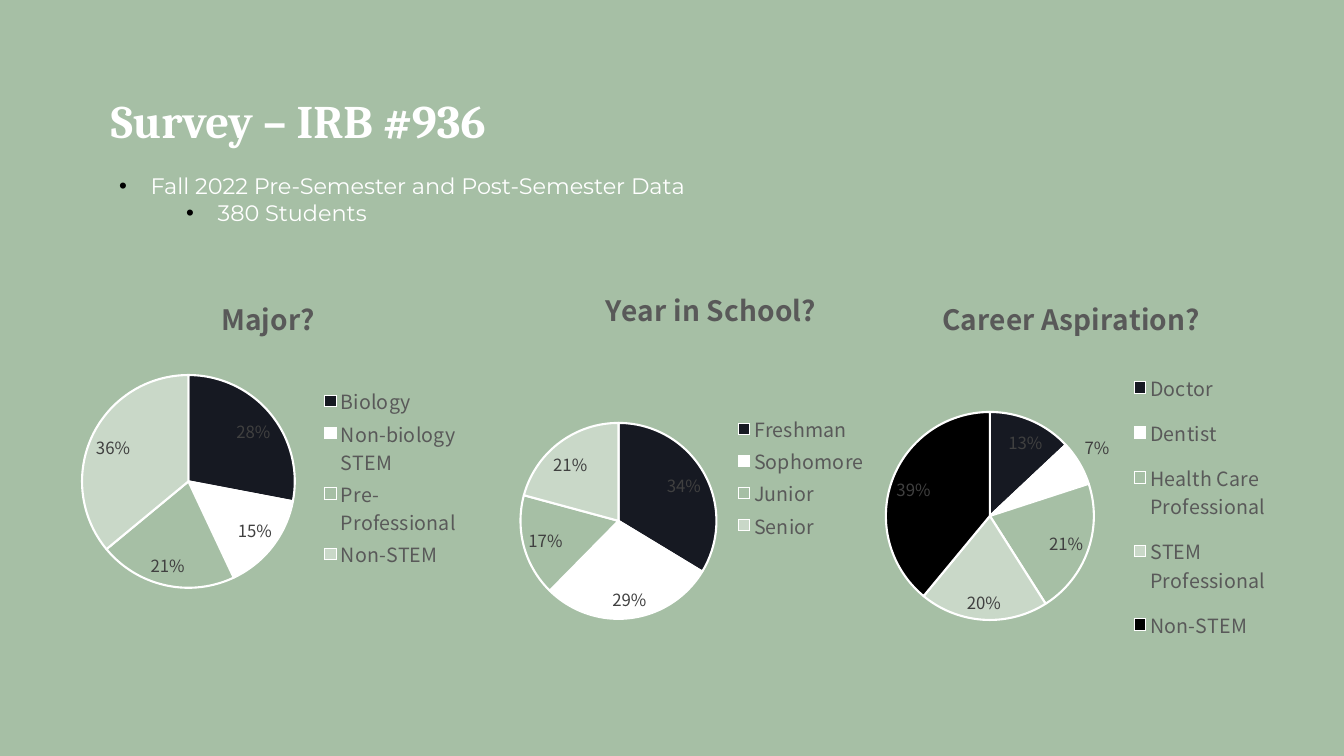
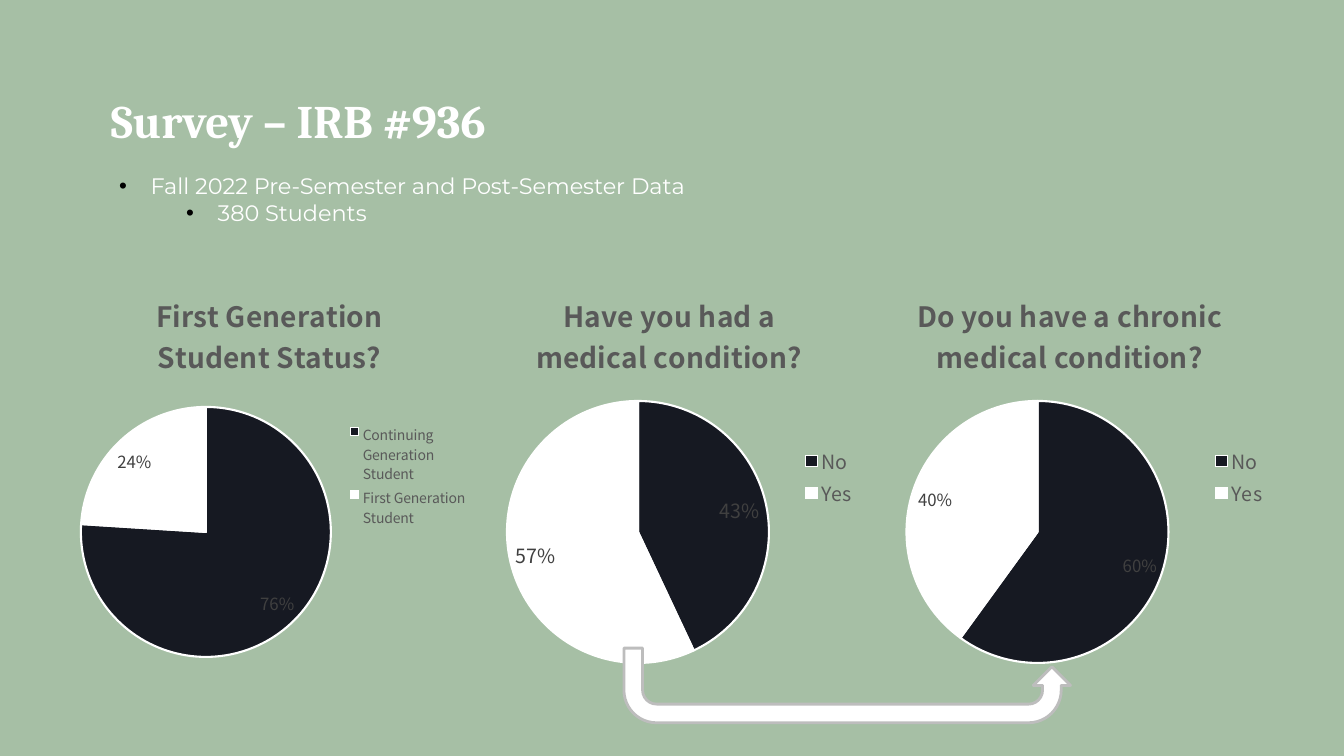
from dataclasses import dataclass

from lxml import etree
from pptx import Presentation
from pptx.chart.data import CategoryChartData
from pptx.dml.color import RGBColor
from pptx.enum import chart as ce, shapes, text
from pptx.oxml import ns
from pptx.util import Pt


@dataclass(frozen=True)
class Theme:
    sage: str = "A6BFA5"
    white: str = "FFFFFF"
    black: str = "000000"
    heading: str = "595959"
    label: str = "404040"
    arrow_line: str = "BDBDBD"
    slices: tuple = ("161922", "FFFFFF", "A6BFA5", "C9D8C8", "000000")
    title_font: str = "Cambria"
    body_font: str = "Montserrat"
    chart_font: str = "Noto Sans CJK SC"
    title_size: float = 33.3
    body_size: float = 16
    chart_title_size: float = 20
    legend_size: float = 14
    label_size: float = 12


THEME = Theme()
TITLE = "Survey – IRB #936"
BULLETS = [
    (0, 22.5, "Fall 2022 Pre-Semester and Post-Semester Data"),
    (1, 70.5, "380 Students"),
]
TITLE_BOX = (69.8, 56.9, 820, 57.6)
BODY_BOX = (75.6, 113.8, 810, 57.6)
CHART_TOP, CHART_HEIGHT = 196.6, 287
HEADING_TOP = 206.9
ARROW_BOX = (445.7, 463, 319, 53.3)

PROFILE = [
    dict(heading=["Year in School?"], heading_at=(428.6, 200.4),
         left=334.8, width=292.3, center=(441.8, 372.1), radius=70,
         legend=(522.9, 293.6, 98.6, 94.3),
         answers={"Freshman": 34, "Sophomore": 29, "Junior": 17, "Senior": 21}),
    dict(heading=["Career Aspiration?"], heading_at=(669.3, HEADING_TOP),
         left=619.2, width=292.3, center=(707.1, 368.6), radius=74.3,
         legend=(806.4, 255, 101.4, 212.9),
         answers={"Doctor": 13, "Dentist": 7, "Health Care Professional": 21,
                  "STEM Professional": 20, "Non-STEM": 39}),
    dict(heading=["Major?"], heading_at=(154.3, HEADING_TOP),
         left=48.2, width=286.6, center=(134.6, 343.9), radius=76,
         legend=(227.9, 273.6, 102, 135),
         answers={"Biology": 28, "Non-biology STEM": 15,
                  "Pre-Professional": 21, "Non-STEM": 36}),
]
HEALTH = [
    dict(heading=["First Generation", "Student Status?"],
         heading_at=(109.3, HEADING_TOP),
         left=48.2, width=293, center=(147.1, 380), radius=89.3,
         legend=(247.1, 300.7, 88.6, 78.6), legend_size=10,
         answers={"Continuing Generation Student": 76,
                  "First Generation Student": 24}),
    dict(heading=["Have you had a", "medical condition?"],
         heading_at=(380.7, HEADING_TOP),
         left=340.6, width=278.6, center=(455.7, 380), radius=93.6,
         legend=(571.4, 316.4, 41.4, 48.6), label_size=14,
         answers={"No": 43, "Yes": 57}),
    dict(heading=["Do you have a chronic", "medical condition?"],
         heading_at=(652.9, HEADING_TOP),
         left=619.2, width=293, center=(741.1, 380), radius=93.6,
         legend=(864.3, 316.4, 41.4, 48.6),
         answers={"No": 60, "Yes": 40}),
]


def points(values):
    return [Pt(value) for value in values]


def style(font, name, size, color, bold=False):
    font.name, font.size, font.bold = name, Pt(size), bold
    font.color.rgb = RGBColor.from_string(color)


def paint(fill, color):
    fill.solid()
    fill.fore_color.rgb = RGBColor.from_string(color)


def child(parent, tag, **attributes):
    return etree.SubElement(parent, ns.qn(tag), attributes)


def add_bullet(paragraph, indent):
    props = paragraph._p.get_or_add_pPr()
    props.set("marL", str(Pt(indent)))
    props.set("indent", str(-Pt(22.5)))
    child(child(props, "a:buClr"), "a:srgbClr", val=THEME.black)
    child(props, "a:buFont", typeface="Arial")
    child(props, "a:buChar", char="•")


def set_frame(frame, anchor):
    frame.word_wrap = True
    frame.auto_size = text.MSO_AUTO_SIZE.NONE
    frame.vertical_anchor = anchor
    frame.margin_left = frame.margin_right = Pt(9.4)
    frame.margin_top = frame.margin_bottom = Pt(9.4)


def set_layout(part, index, pie, x, y, w=None, h=None, inner=False):
    for old in part.findall(ns.qn("c:layout")):
        part.remove(old)
    layout = etree.Element(ns.qn("c:layout"))
    part.insert(index, layout)
    manual = child(layout, "c:manualLayout")
    if inner:
        child(manual, "c:layoutTarget", val="inner")
    child(manual, "c:xMode", val="edge")
    child(manual, "c:yMode", val="edge")
    fractions = {"x": (x - pie["left"]) / pie["width"],
                 "y": (y - CHART_TOP) / CHART_HEIGHT}
    if w:
        fractions.update(w=w / pie["width"], h=h / CHART_HEIGHT)
    for key, value in fractions.items():
        child(manual, f"c:{key}", val=f"{value:.4f}")


def add_pie(slide, pie):
    data = CategoryChartData()
    data.categories = list(pie["answers"])
    data.add_series("Series 1", list(pie["answers"].values()))
    box = points((pie["left"], CHART_TOP, pie["width"], CHART_HEIGHT))
    chart = slide.shapes.add_chart(ce.XL_CHART_TYPE.PIE, *box, data).chart
    style(chart.font, THEME.chart_font, 10, THEME.black)

    chart.has_title = True
    heading = chart.chart_title.text_frame
    for number, line in enumerate(pie["heading"]):
        paragraph = heading.add_paragraph() if number else heading.paragraphs[0]
        run = paragraph.add_run()
        run.text = line
        style(run.font, THEME.chart_font, THEME.chart_title_size,
              THEME.heading, True)
    chart.chart_title.include_in_layout = False

    chart.has_legend = True
    chart.legend.position = ce.XL_LEGEND_POSITION.RIGHT
    chart.legend.include_in_layout = False
    style(chart.legend.font, THEME.chart_font,
          pie.get("legend_size", THEME.legend_size), THEME.heading)

    plot = chart.plots[0]
    plot.vary_by_categories = True
    series = plot.series[0]
    for number, color in zip(range(len(pie["answers"])), THEME.slices):
        wedge = series.points[number].format
        paint(wedge.fill, color)
        paint(wedge.line.fill, THEME.white)
        wedge.line.width = Pt(1.5)
    labels = series.data_labels
    labels.show_percentage, labels.show_value = True, False
    labels.number_format, labels.number_format_is_linked = "0%", False
    labels.position = ce.XL_LABEL_POSITION.BEST_FIT
    style(labels.font, THEME.chart_font,
          pie.get("label_size", THEME.label_size), THEME.label)

    root = chart._chartSpace
    body = root.find(ns.qn("c:chart"))
    (x, y), radius = pie["center"], pie["radius"]
    set_layout(body.find(ns.qn("c:title")), 1, pie, *pie["heading_at"])
    set_layout(body.find(ns.qn("c:legend")), 1, pie, *pie["legend"])
    set_layout(body.find(ns.qn("c:plotArea")), 0, pie, x - radius, y - radius,
               2 * radius, 2 * radius, inner=True)
    backdrop = etree.Element(ns.qn("c:spPr"))
    child(backdrop, "a:noFill")
    child(child(backdrop, "a:ln"), "a:noFill")
    body.addnext(backdrop)


def add_survey_slide(prs, pies):
    slide = prs.slides.add_slide(prs.slide_layouts[1])
    title = slide.shapes.title.text_frame
    set_frame(title, text.MSO_ANCHOR.MIDDLE)
    title.paragraphs[0].alignment = text.PP_ALIGN.LEFT
    run = title.paragraphs[0].add_run()
    run.text = TITLE
    style(run.font, THEME.title_font, THEME.title_size, THEME.white, True)

    body = slide.placeholders[1].text_frame
    set_frame(body, text.MSO_ANCHOR.TOP)
    for number, (level, indent, words) in enumerate(BULLETS):
        paragraph = body.add_paragraph() if number else body.paragraphs[0]
        paragraph.level = level
        paragraph.space_before = paragraph.space_after = Pt(0)
        add_bullet(paragraph, indent)
        run = paragraph.add_run()
        run.text = words
        style(run.font, THEME.body_font, THEME.body_size, THEME.white)
    for pie in pies:
        add_pie(slide, pie)
    return slide


def add_follow_up_arrow(slide):
    arrow = slide.shapes.add_shape(shapes.MSO_SHAPE.U_TURN_ARROW,
                                   *points(ARROW_BOX))
    arrow.shadow.inherit = False
    arrow._element.spPr.xfrm.set("flipV", "1")
    paint(arrow.fill, THEME.white)
    paint(arrow.line.fill, THEME.arrow_line)
    arrow.line.width = Pt(2)


def main():
    prs = Presentation()
    prs.slide_width, prs.slide_height = Pt(960), Pt(540)
    paint(prs.slide_master.background.fill, THEME.sage)
    for holder in prs.slide_layouts[1].placeholders:
        box = {0: TITLE_BOX, 1: BODY_BOX}.get(holder.placeholder_format.idx)
        if box:
            holder.left, holder.top, holder.width, holder.height = points(box)
    add_survey_slide(prs, PROFILE)
    add_follow_up_arrow(add_survey_slide(prs, HEALTH))
    prs.save("out.pptx")


if __name__ == "__main__":
    main()
